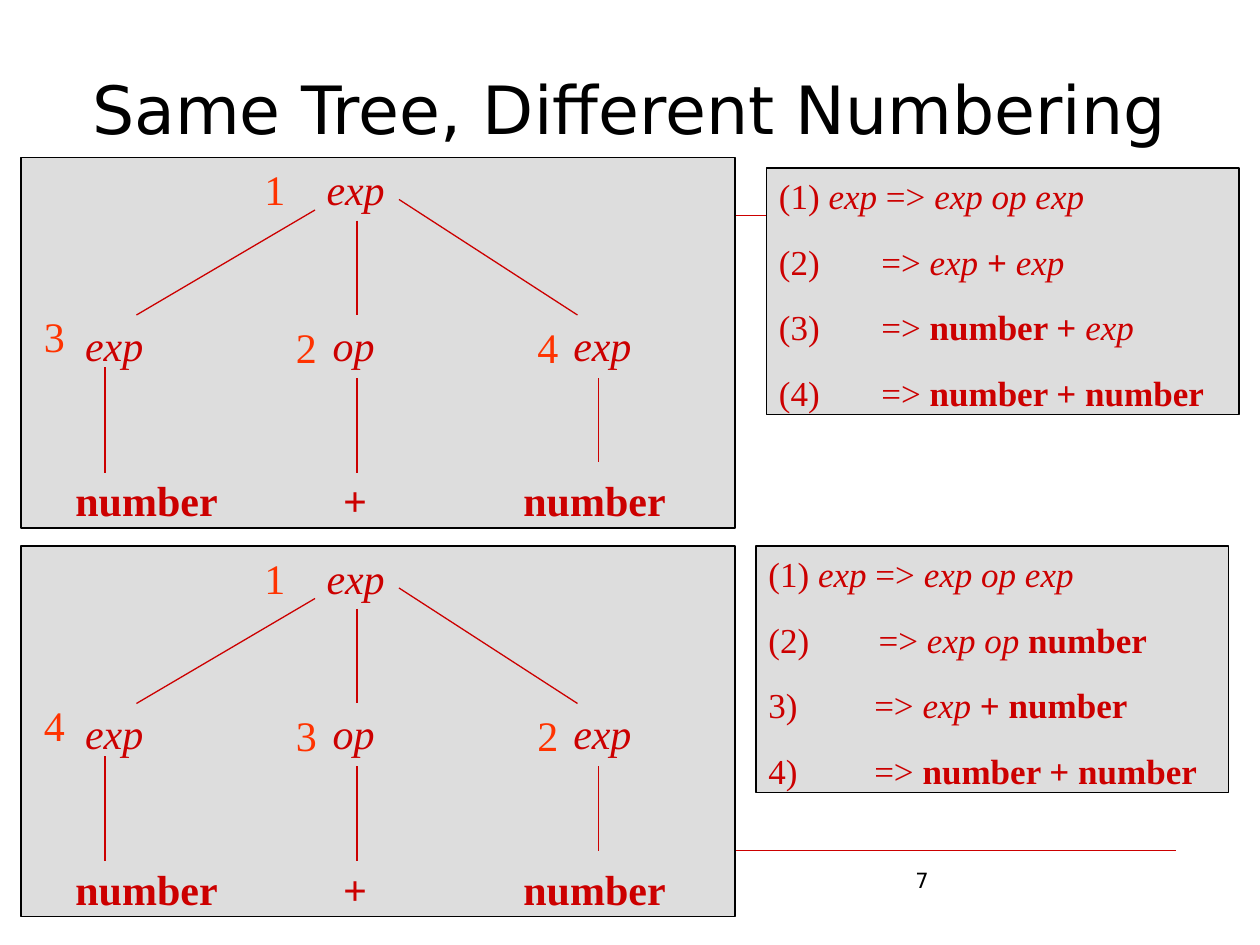
from dataclasses import dataclass

from lxml.etree import SubElement
from pptx import Presentation
from pptx.dml.color import RGBColor as Color
from pptx.enum.shapes import MSO_CONNECTOR as Connector, MSO_SHAPE as Shape
from pptx.enum.text import MSO_ANCHOR as Anchor, MSO_AUTO_SIZE as AutoSize
from pptx.enum.text import PP_ALIGN as Align
from pptx.oxml.ns import qn
from pptx.util import Pt


@dataclass(frozen=True)
class Theme:
    black: str = "000000"
    red: str = "CC0000"
    orange: str = "FF3300"
    panel: str = "DDDDDD"
    sans: str = "DejaVu Sans"
    serif: str = "Times New Roman"
    title: float = 38
    tree: float = 24
    derivation: float = 20
    footer: float = 12
    tree_gap: float = 60
    derivation_gap: float = 13.6


THEME = Theme()

# Tree rows: tab stops and words, measured inside the panel
TREE_ROWS = [
    ([167.5], [("\texp", "i")]),
    ([29.5, 171, 308.5], [("\texp\top\texp", "i")]),
    ([24, 177, 280], [("\tnumber\t+\tnumber", "b")]),
]
# Branches: x1, y1, x2, y2 from the panel corner
BRANCHES = [
    (168, 30, 66, 90), (216, 24, 318, 90), (192, 36, 192, 90),
    (48, 120, 48, 180), (192, 126, 192, 180), (330, 126, 330, 174),
]
# Order labels: root, left, middle, right
LABEL_SPOTS = [(132, 0), (6, 84), (150, 90), (288, 90)]

START = [("(1) ", ""), ("exp", "i"), (" => ", ""), ("exp op exp", "i")]
LEFTMOST = [
    ([], START),
    ([58.5], [("(2)\t=> ", ""), ("exp ", "i"), ("+", "b"), (" exp", "i")]),
    ([58.5], [("(3)\t=> ", ""), ("number +", "b"), (" exp", "i")]),
    ([58.5], [("(4)\t=> ", ""), ("number + number", "b")]),
]
RIGHTMOST = [
    ([], START),
    ([63], [("(2)\t=> ", ""), ("exp op", "i"), (" number", "b")]),
    ("numbered", [("=> ", ""), ("exp", "i"), (" + number", "b")]),
    ("numbered", [("=> ", ""), ("number + number", "b")]),
]


def apply(target, values):
    for name, value in values.items():
        setattr(target, name, value)


def format_frame(frame, **values):
    defaults = {
        "word_wrap": True, "auto_size": AutoSize.NONE,
        "vertical_anchor": Anchor.TOP,
        "margin_left": Pt(7.2), "margin_right": Pt(7.2),
        "margin_top": Pt(3.6), "margin_bottom": Pt(3.6),
    }
    apply(frame, defaults | values)


def add_run(paragraph, text, size, color, font, style=""):
    run = paragraph.add_run()
    run.text = text
    apply(run.font, {"name": font, "size": Pt(size),
                     "bold": "b" in style, "italic": "i" in style})
    run.font.color.rgb = Color.from_string(color)


def add_tabs(paragraph, stops):
    tab_list = SubElement(paragraph._p.get_or_add_pPr(), qn("a:tabLst"))
    for stop in stops:
        SubElement(tab_list, qn("a:tab"), pos=str(int(Pt(stop))), algn="l")


def add_numbering(paragraph, first, indent):
    properties = paragraph._p.get_or_add_pPr()
    properties.set("marL", str(int(Pt(indent))))
    properties.set("indent", str(-int(Pt(indent))))
    bullet_color = SubElement(properties, qn("a:buClr"))
    SubElement(bullet_color, qn("a:srgbClr"), val=THEME.red)
    SubElement(properties, qn("a:buAutoNum"),
               type="arabicParenR", startAt=str(first))


def add_panel(slide, box, rows, size, gap):
    """Grey box whose rows are (tab stops or "numbered", runs)."""
    panel = slide.shapes.add_shape(Shape.RECTANGLE, *map(Pt, box))
    panel.shadow.inherit = False
    panel.fill.solid()
    panel.fill.fore_color.rgb = Color.from_string(THEME.panel)
    panel.line.color.rgb = Color.from_string(THEME.black)
    panel.line.width = Pt(0.75)
    frame = panel.text_frame
    format_frame(frame)
    for index, (layout, runs) in enumerate(rows):
        paragraph = frame.add_paragraph() if index else frame.paragraphs[0]
        if layout == "numbered":
            add_numbering(paragraph, first=3, indent=60.5)
        elif layout:
            add_tabs(paragraph, layout)
        apply(paragraph, {"alignment": Align.LEFT,
                          "space_before": Pt(gap if index else 0)})
        for text, style in runs:
            add_run(paragraph, text, size, THEME.red, THEME.serif, style)


def add_line(slide, ends, width=0.75):
    line = slide.shapes.add_connector(Connector.STRAIGHT, *map(Pt, ends))
    line.line.color.rgb = Color.from_string(THEME.red)
    line.line.width = Pt(width)
    SubElement(line._element.spPr, qn("a:effectLst"))


def add_label(slide, box, text, size, color, font):
    label = slide.shapes.add_textbox(*map(Pt, box))
    format_frame(label.text_frame)
    add_run(label.text_frame.paragraphs[0], text, size, color, font)


def add_title(slide, text):
    title = slide.shapes.title
    apply(title, {"left": Pt(45.5), "top": Pt(0),
                  "width": Pt(644), "height": Pt(88)})
    format_frame(title.text_frame, vertical_anchor=Anchor.BOTTOM)
    paragraph = title.text_frame.paragraphs[0]
    paragraph.alignment = Align.LEFT
    add_run(paragraph, text, THEME.title, THEME.black, THEME.sans)


def add_tree(slide, left, top, order):
    add_panel(slide, (left, top, 408, 211.7), TREE_ROWS,
              THEME.tree, THEME.tree_gap)
    for x1, y1, x2, y2 in BRANCHES:
        add_line(slide, (left + x1, top + y1, left + x2, top + y2))
    for number, (x, y) in zip(order, LABEL_SPOTS):
        add_label(slide, (left + x, top + y, 26, 36), number,
                  THEME.tree, THEME.orange, THEME.serif)


def add_derivation(slide, left, top, rows):
    add_panel(slide, (left, top, 270, 141), rows,
              THEME.derivation, THEME.derivation_gap)


def main():
    presentation = Presentation()
    apply(presentation, {"slide_width": Pt(720), "slide_height": Pt(540)})
    slide = presentation.slides.add_slide(presentation.slide_layouts[5])

    # Title, rules and page number
    add_title(slide, "Same Tree, Different Numbering")
    add_line(slide, (48, 123, 675, 123))
    add_line(slide, (48, 486, 672, 486), width=0.25)
    add_label(slide, (516, 492, 156, 37), "7",
              THEME.footer, THEME.black, THEME.sans)

    # Leftmost derivation
    add_tree(slide, 12, 90, "1324")
    add_derivation(slide, 438, 96, LEFTMOST)

    # Rightmost derivation
    add_tree(slide, 12, 312, "1432")
    add_derivation(slide, 432, 312, RIGHTMOST)

    presentation.save("out.pptx")


if __name__ == "__main__":
    main()
